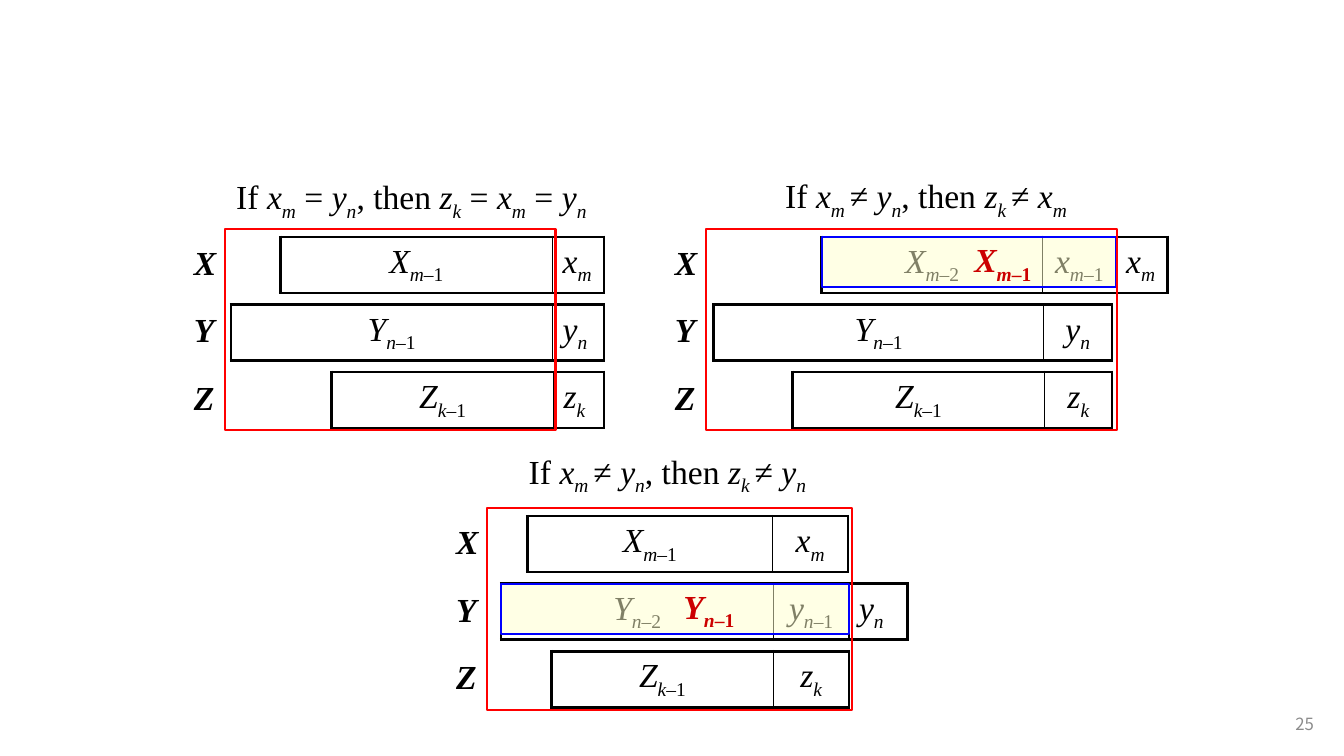
from dataclasses import dataclass

from lxml.etree import SubElement
from pptx import Presentation
from pptx.dml.color import RGBColor as Color
from pptx.enum.shapes import MSO_SHAPE as Shape
from pptx.enum.text import MSO_ANCHOR as Anchor, PP_ALIGN as Align
from pptx.oxml import parse_xml
from pptx.oxml.ns import nsdecls, qn
from pptx.slide import Slide
from pptx.util import Inches, Pt


@dataclass(frozen=True)
class Theme:
    serif: str = "Times New Roman"
    sans: str = "Noto Sans CJK SC"
    ink: str = "000000"
    grey: str = "8C8C8C"
    frame: str = "FF0000"
    marker: str = "0000FF"
    wash: str = "FFFFCC"
    accent: str = "CC0000"
    body: float = 24
    small: float = 12
    space: float = 4.8
    thin: float = 1
    medium: float = 1.5
    thick: float = 2.25
    subscript: int = -25000
    opacity: int = 50000


UNIT = Inches(0.1)
ROW_STEP = 6.7
BAR_HEIGHT = 5
FRAME_HEIGHT = 20


def grid(*cells):
    return [round(cell * UNIT) for cell in cells]


def pieces(text):
    for index, part in enumerate(text.split("|")):
        if index % 2 == 0:
            yield part, False, False
            continue
        symbol, _, lower = part.partition("_")
        yield symbol, True, False
        yield lower[:1], True, True
        yield lower[1:], False, True


def write(frame, text, theme, font=None, size=None, color=None, bold=False,
          align=Align.LEFT, anchor=None, wrap=False, space=0):
    frame.word_wrap = wrap
    if anchor is not None:
        frame.vertical_anchor = anchor
    para = frame.paragraphs[0]
    para.alignment = align
    if space:
        para.space_before = Pt(space)
    for words, italic, lowered in pieces(text):
        if not words:
            continue
        span = para.add_run()
        span.text = words
        span.font.name = font or theme.serif
        span.font.size = Pt(size or theme.body)
        span.font.color.rgb = Color.from_string(color or theme.ink)
        span.font.bold = bold
        span.font.italic = italic
        if lowered:
            span._r.get_or_add_rPr().set("baseline", str(theme.subscript))


@dataclass
class Board:
    theme: Theme
    page: Slide

    def label(self, text, left, top, width, height=BAR_HEIGHT, **style):
        box = self.page.shapes.add_textbox(*grid(left, top, width, height))
        write(box.text_frame, text, self.theme, **style)

    def outline(self, left, top, width, height, color):
        shape = self.page.shapes.add_shape(
            Shape.RECTANGLE, *grid(left, top, width, height))
        shape.shadow.inherit = False
        shape.fill.background()
        shape.line.color.rgb = Color.from_string(color)
        shape.line.width = Pt(self.theme.medium)
        return shape

    def highlight(self, text, left, top, width):
        theme = self.theme
        shape = self.outline(left, top, width, BAR_HEIGHT, theme.marker)
        shape.fill.solid()
        shape.fill.fore_color.rgb = Color.from_string(theme.wash)
        tint = shape._element.spPr.find(qn("a:solidFill")).find(qn("a:srgbClr"))
        SubElement(tint, qn("a:alpha"), val=str(theme.opacity))
        shape.text_frame.margin_left = grid(7.7)[0]
        write(shape.text_frame, text, theme, color=theme.accent, bold=True,
              align=Align.CENTER, anchor=Anchor.MIDDLE, wrap=True)

    def borders(self, cell, first, last):
        theme = self.theme
        weights = {
            "L": theme.thick if first else theme.thin,
            "R": theme.thick if last else theme.thin,
            "T": theme.thick,
            "B": theme.thick,
        }
        properties = cell._tc.get_or_add_tcPr()
        for index, (side, weight) in enumerate(weights.items()):
            properties.insert(index, parse_xml(
                f'<a:ln{side} {nsdecls("a")} w="{Pt(weight)}"><a:solidFill>'
                f'<a:srgbClr val="{theme.ink}"/></a:solidFill></a:ln{side}>'))

    def bar(self, left, top, parts):
        widths = [width for _, width in parts]
        place = grid(left, top, sum(widths), BAR_HEIGHT)
        table = self.page.shapes.add_table(1, len(parts), *place).table
        table.first_row = table.horz_banding = False
        for index, (text, width) in enumerate(parts):
            table.columns[index].width = grid(width)[0]
            cell = table.cell(0, index)
            cell.fill.background()
            cell.vertical_anchor = Anchor.MIDDLE
            align = Align.LEFT if width < 6 else Align.CENTER
            write(cell.text_frame, text, self.theme, align=align, wrap=True,
                  space=self.theme.space)
            self.borders(cell, index == 0, index == len(parts) - 1)

    def case(self, title, centre, title_top, left, top, width, bars, marked=None):
        self.label(title, centre - 18.75, title_top, 37.5, align=Align.CENTER)
        for index, (name, (start, parts)) in enumerate(zip("XYZ", bars)):
            bar_top = top + 0.8 + index * ROW_STEP
            self.bar(start, bar_top, parts)
            self.label(f"|{name}|", left - 4.05, bar_top, 4.2, bold=True)
            if marked and marked[0] == name:
                self.highlight(marked[1], start, bar_top,
                               sum(size for _, size in parts[:-1]))
        self.outline(left, top, width, FRAME_HEIGHT, self.theme.frame)


CASES = [
    dict(title="If |x_m| = |y_n|, then |z_k| = |x_m| = |y_n|",
         centre=40.8, title_top=17, left=22.3, top=22.7, width=32.8,
         bars=[(27.8, [("|X_m–1|", 27), ("|x_m|", 5.1)]),
               (22.9, [("|Y_n–1|", 31.9), ("|y_n|", 5.1)]),
               (32.9, [("|Z_k–1|", 22), ("|z_k|", 5)])]),
    dict(title="If |x_m |≠ |y_n|, then |z_k |≠ |x_m|",
         centre=91.85, title_top=16.9, left=70, top=22.7, width=40.8,
         bars=[(81.5, [("|X_m–2|", 21.9), ("|x_m–1|", 7.3), ("|x_m|", 5.1)]),
               (70.8, [("|Y_n–1|", 32.7), ("|y_n|", 6.8)]),
               (78.6, [("|Z_k–1|", 25), ("|z_k|", 6.7)])],
         marked=("X", "|X_m–1|")),
    dict(title="If |x_m |≠ |y_n|, then |z_k |≠ |y_n|",
         centre=66.2, title_top=44.2, left=48.3, top=50.4, width=36.2,
         bars=[(52.3, [("|X_m–1|", 24.3), ("|x_m|", 7.5)]),
               (49.7, [("|Y_n–2|", 27), ("|y_n–1|", 7.5), ("|y_n|", 5.8)]),
               (54.7, [("|Z_k–1|", 22), ("|z_k|", 7.5)])],
         marked=("Y", "|Y_n–1|")),
]


def main():
    deck = Presentation()
    deck.slide_width, deck.slide_height = Inches(13.33), Inches(7.5)
    theme = Theme()
    board = Board(theme, deck.slides.add_slide(deck.slide_layouts[6]))
    for case in CASES:
        board.case(**case)
    board.label("25", 125.3, 69.8, 6, 4, font=theme.sans, size=theme.small,
                color=theme.grey, align=Align.RIGHT, anchor=Anchor.MIDDLE, wrap=True)
    deck.save("out.pptx")


if __name__ == "__main__":
    main()
